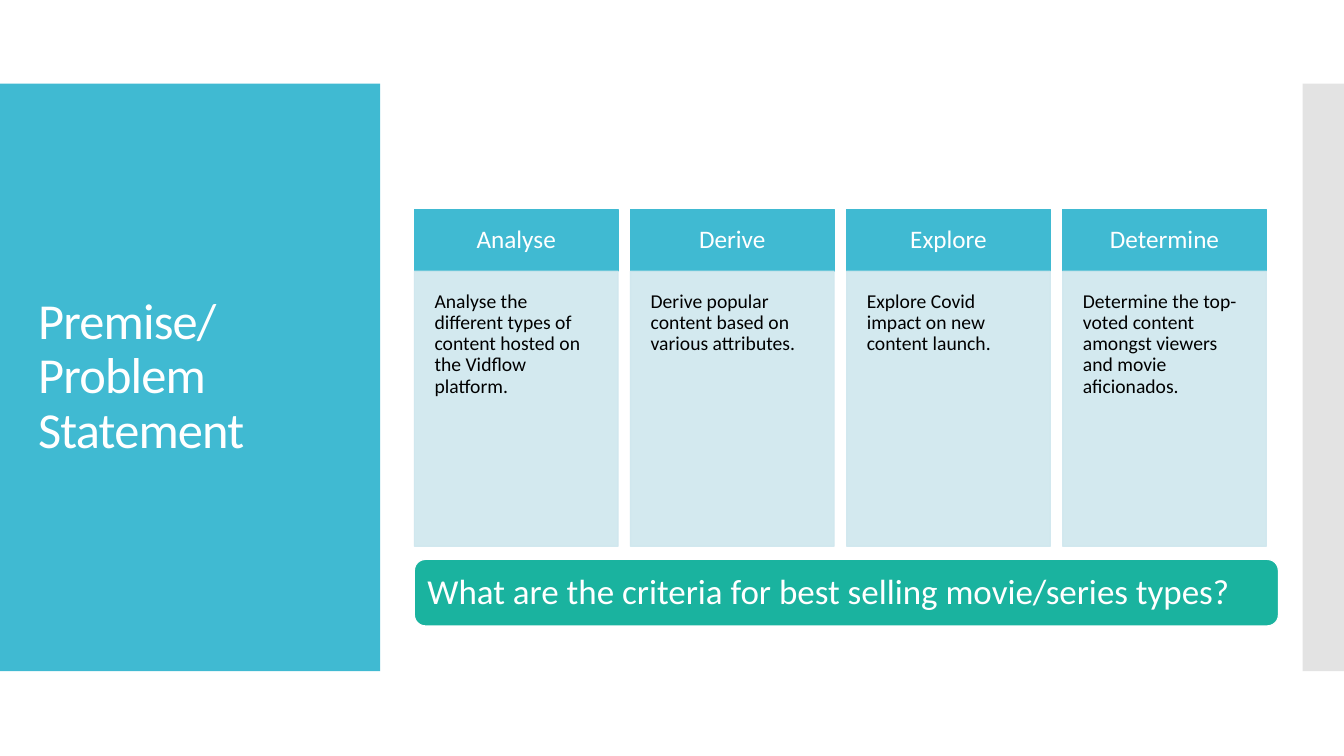
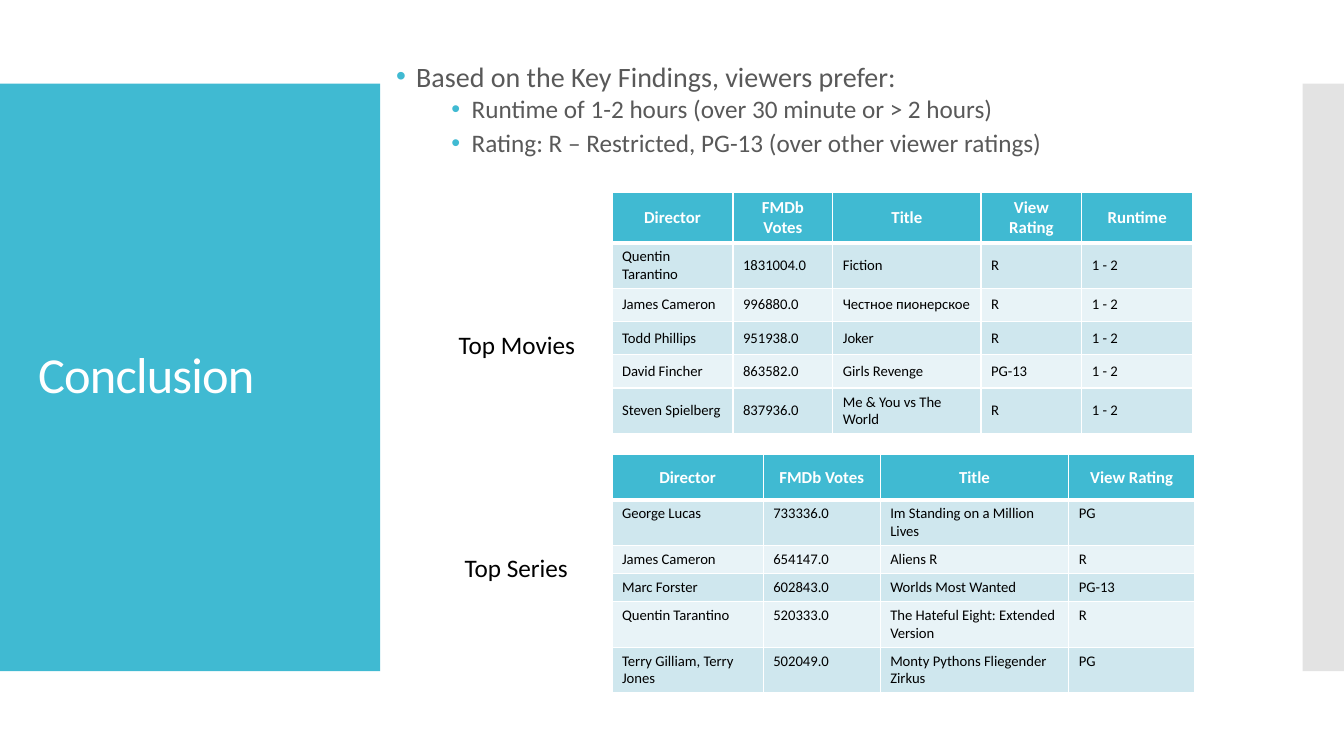
from dataclasses import dataclass

from lxml.etree import SubElement
from pptx import Presentation
from pptx.dml.color import RGBColor
from pptx.enum.shapes import MSO_SHAPE as Preset
from pptx.enum.text import MSO_ANCHOR as Anchor, PP_ALIGN as Align
from pptx.oxml.ns import qn
from pptx.util import Inches, Pt

FONT = "Calibri"
ACCENT = "40BAD2"
GREEN = "1AB39F"
PALE = "CFE7EE"
PALER = "E8F3F7"
GREY = "C8C8C8"
BODY_TEXT = "595959"
WHITE = "FFFFFF"
BLACK = "000000"

BAND_TOP, BAND_HEIGHT = 0.83, 5.83
CARD_LEFT, LAST_CARD_LEFT, CARD_WIDTH = 4.11, 10.54, 2.02
TABLE_LEFT = 6.07


@dataclass(frozen=True)
class Card:
    heading: str
    body: str


@dataclass(frozen=True)
class Bullet:
    text: str
    size: float
    indent: float
    spacing: float


@dataclass(frozen=True)
class Ranking:
    label: str
    label_box: tuple
    top: float
    anchor: Anchor
    widths: tuple
    heights: tuple
    rows: tuple


CARDS = (
    Card("Analyse", "Analyse the different types of content hosted on the Vidflow platform."),
    Card("Derive", "Derive popular content based on various attributes."),
    Card("Explore", "Explore Covid impact on new content launch."),
    Card("Determine", "Determine the top-voted content amongst viewers and movie aficionados."),
)

BULLETS = (
    Bullet("Based on the Key Findings, viewers prefer:", 20, 0.2, 0),
    Bullet("Runtime of 1-2 hours (over 30 minute or > 2 hours)", 18, 0.75, 2.5),
    Bullet("Rating: R – Restricted, PG-13 (over other viewer ratings)", 18, 0.75, 2.5),
)

RANKINGS = (
    Ranking(
        "Top Movies", (4.45, 3.22, 1.39, 0.4), 1.91, Anchor.MIDDLE,
        (1.2, 0.99, 1.47, 1, 1.1), (0.33, 0.33, 0.33, 0.33, 0.33, 0.3),
        (
            ("Director", "FMDb Votes", "Title", "View Rating", "Runtime"),
            ("Quentin Tarantino", "1831004.0", "Fiction", "R", "1 - 2"),
            ("James Cameron", "996880.0", "Честное пионерское", "R", "1 - 2"),
            ("Todd Phillips", "951938.0", "Joker", "R", "1 - 2"),
            ("David Fincher", "863582.0", "Girls Revenge", "PG-13", "1 - 2"),
            ("Steven Spielberg", "837936.0", "Me & You vs The World", "R", "1 - 2"),
        ),
    ),
    Ranking(
        "Top Series", (4.51, 5.43, 1.27, 0.4), 4.51, Anchor.TOP,
        (1.5, 1.16, 1.87, 1.25), (0.45, 0.28, 0.28, 0.28, 0.41, 0.41),
        (
            ("Director", "FMDb Votes", "Title", "View Rating"),
            ("George Lucas", "733336.0", "Im Standing on a Million Lives", "PG"),
            ("James Cameron", "654147.0", "Aliens R", "R"),
            ("Marc Forster", "602843.0", "Worlds Most Wanted", "PG-13"),
            ("Quentin Tarantino", "520333.0", "The Hateful Eight: Extended Version", "R"),
            ("Terry Gilliam, Terry Jones", "502049.0", "Monty Pythons Fliegender Zirkus", "PG"),
        ),
    ),
)


def color(value: str) -> RGBColor:
    return RGBColor.from_string(value)


def write(paragraph, text: str, *, size: float, fill: str = BLACK, bold: bool = False,
          align: Align = Align.LEFT, line_spacing: float = 1.0, tracking: float = 0) -> None:
    """Fill a paragraph with formatted text; a newline becomes a line break."""
    paragraph.text = text
    paragraph.alignment = align
    paragraph.line_spacing = line_spacing
    for run in paragraph.runs:
        run.font.name = FONT
        run.font.size = Pt(size)
        run.font.bold = bold
        run.font.color.rgb = color(fill)
        if tracking:
            run._r.get_or_add_rPr().set("spc", str(round(tracking * 100)))


def set_frame(frame, *, anchor: Anchor = Anchor.TOP, inset: float | None = None,
              wrap: bool = True) -> None:
    frame.word_wrap = wrap
    frame.vertical_anchor = anchor
    if inset is not None:
        frame.margin_left = frame.margin_right = Inches(inset)
        frame.margin_top = frame.margin_bottom = Inches(inset)


def add_box(slide, box: tuple, fill: str, *, preset: Preset = Preset.RECTANGLE,
            line: str | None = None, opacity: int = 100):
    shape = slide.shapes.add_shape(preset, *map(Inches, box))
    shape.shadow.inherit = False
    shape.fill.solid()
    shape.fill.fore_color.rgb = color(fill)
    if line:
        shape.line.color.rgb = color(line)
        shape.line.width = Pt(0.85)
    else:
        shape.line.fill.background()
    if opacity < 100:
        for node in shape._element.spPr.iter(qn("a:srgbClr")):
            SubElement(node, qn("a:alpha"), val=str(opacity * 1000))
    return shape


def add_text(slide, box: tuple, text: str, *, anchor: Anchor = Anchor.TOP,
             wrap: bool = True, **text_format) -> None:
    frame = slide.shapes.add_textbox(*map(Inches, box)).text_frame
    set_frame(frame, anchor=anchor, wrap=wrap)
    write(frame.paragraphs[0], text, **text_format)


def add_titled_slide(presentation, title: str):
    """Add a blank slide with the side bands and the title."""
    slide = presentation.slides.add_slide(presentation.slide_layouts[6])
    add_box(slide, (0, BAND_TOP, 3.77, BAND_HEIGHT), ACCENT)
    add_box(slide, (12.92, BAND_TOP, 0.42, BAND_HEIGHT), GREY, opacity=50)
    add_text(slide, (0.28, 1.23, 3.22, 5.03), title, anchor=Anchor.MIDDLE,
             size=36, fill=WHITE, line_spacing=0.9, tracking=-0.6)
    return slide


def add_card(slide, left: float, card: Card) -> None:
    heading = add_box(slide, (left, 2.08, CARD_WIDTH, 0.61), ACCENT, line=ACCENT)
    set_frame(heading.text_frame, anchor=Anchor.MIDDLE, inset=0.16)
    write(heading.text_frame.paragraphs[0], card.heading, size=18, fill=WHITE,
          align=Align.CENTER, line_spacing=0.9)
    body = add_box(slide, (left, 2.69, CARD_WIDTH, 2.73), PALE, line=PALE, opacity=90)
    set_frame(body.text_frame, inset=0.2)
    write(body.text_frame.paragraphs[0], card.body, size=14, line_spacing=0.9)


def add_bullets(slide, box: tuple, bullets: tuple) -> None:
    frame = slide.shapes.add_textbox(*map(Inches, box)).text_frame
    set_frame(frame, anchor=Anchor.MIDDLE)
    for index, bullet in enumerate(bullets):
        paragraph = frame.add_paragraph() if index else frame.paragraphs[0]
        properties = paragraph._p.get_or_add_pPr()
        properties.set("marL", str(Inches(bullet.indent)))
        properties.set("indent", str(Inches(-0.2)))
        bullet_color = SubElement(properties, qn("a:buClr"))
        SubElement(bullet_color, qn("a:srgbClr"), val=ACCENT)
        SubElement(properties, qn("a:buFont"), typeface="Arial")
        SubElement(properties, qn("a:buChar"), char="•")
        write(paragraph, bullet.text, size=bullet.size, fill=BODY_TEXT, line_spacing=0.9)
        paragraph.space_before = paragraph.space_after = Pt(bullet.spacing)


def set_borders(cell, top: float, bottom: float) -> None:
    properties = cell._tc.get_or_add_tcPr()
    for side, width in (("L", 1), ("R", 1), ("T", top), ("B", bottom)):
        line = SubElement(properties, qn(f"a:ln{side}"), w=str(Pt(width)))
        SubElement(SubElement(line, qn("a:solidFill")), qn("a:srgbClr"), val=WHITE)


def add_ranking(slide, ranking: Ranking) -> None:
    """Add a table with its label to the left."""
    table = slide.shapes.add_table(
        len(ranking.rows), len(ranking.widths), Inches(TABLE_LEFT), Inches(ranking.top),
        Inches(sum(ranking.widths)), Inches(sum(ranking.heights))).table
    table.horz_banding = False
    for column, width in zip(table.columns, ranking.widths):
        column.width = Inches(width)
    for row, height in zip(table.rows, ranking.heights):
        row.height = Inches(height)
    for row_index, values in enumerate(ranking.rows):
        header = row_index == 0
        for column_index, value in enumerate(values):
            cell = table.cell(row_index, column_index)
            set_borders(cell, top=3 if row_index == 1 else 1, bottom=3 if header else 1)
            cell.fill.solid()
            cell.fill.fore_color.rgb = color(
                ACCENT if header else PALE if row_index % 2 else PALER)
            cell.vertical_anchor = Anchor.MIDDLE if header else ranking.anchor
            write(cell.text_frame.paragraphs[0], value, size=12 if header else 10.5,
                  fill=WHITE if header else BLACK, bold=header,
                  align=Align.CENTER if header else Align.LEFT)
    add_text(slide, ranking.label_box, ranking.label, wrap=False, size=18)


def build_premise(presentation) -> None:
    slide = add_titled_slide(presentation, "Premise/\nProblem Statement")
    pitch = (LAST_CARD_LEFT - CARD_LEFT) / (len(CARDS) - 1)
    for index, card in enumerate(CARDS):
        add_card(slide, CARD_LEFT + index * pitch, card)
    question = add_box(slide, (CARD_LEFT, 5.55, 8.57, 0.66), GREEN,
                       preset=Preset.ROUNDED_RECTANGLE, line=WHITE)
    set_frame(question.text_frame, anchor=Anchor.MIDDLE, inset=0.1)
    write(question.text_frame.paragraphs[0],
          "What are the criteria for best selling movie/series types?",
          size=25, fill=WHITE, line_spacing=0.9)


def build_conclusion(presentation) -> None:
    slide = add_titled_slide(presentation, "Conclusion")
    add_bullets(slide, (3.83, 0.4, 8, 1.39), BULLETS)
    for ranking in RANKINGS:
        add_ranking(slide, ranking)


def main() -> None:
    presentation = Presentation()
    presentation.slide_width = Inches(13.33)
    presentation.slide_height = Inches(7.5)
    build_premise(presentation)
    build_conclusion(presentation)
    presentation.save("out.pptx")


if __name__ == "__main__":
    main()
